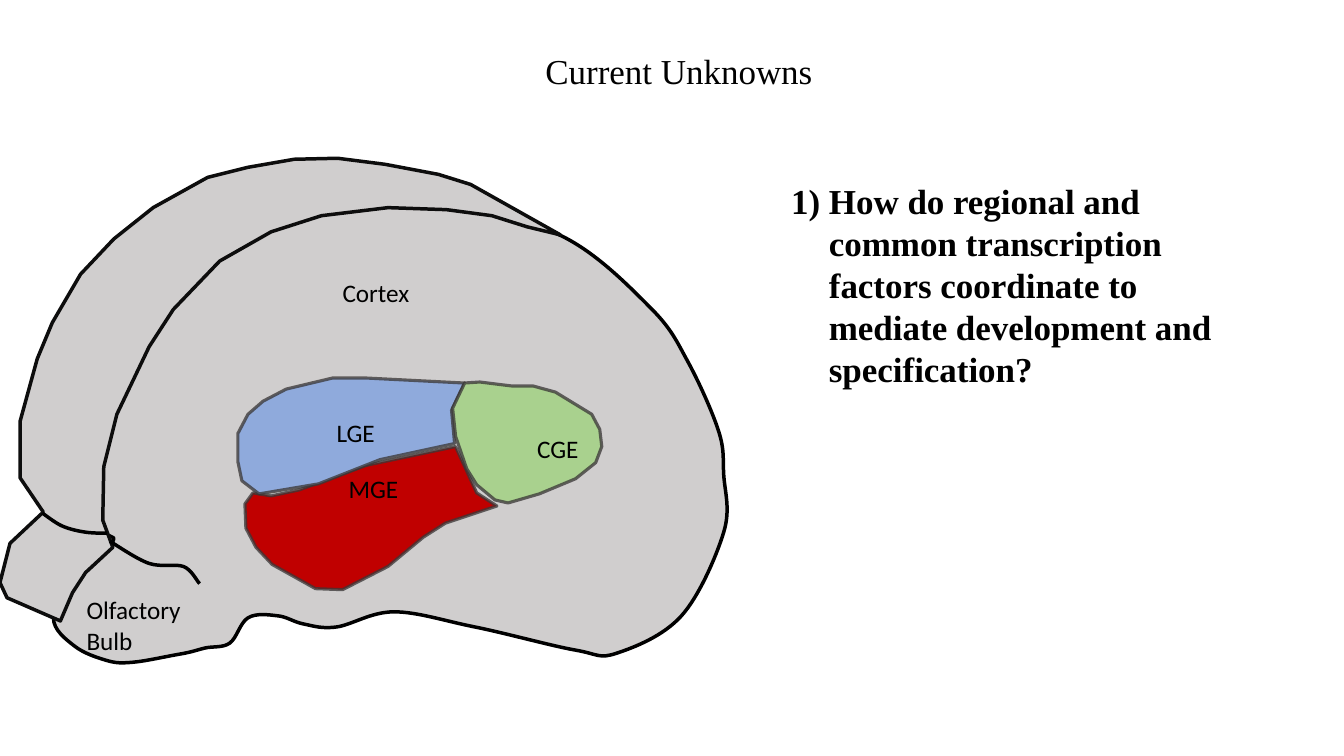
from dataclasses import dataclass

import lxml.etree
import pptx
import pptx.dml.color
import pptx.enum.text
import pptx.oxml.ns
import pptx.shapes.autoshape
import pptx.shapes.shapetree
import pptx.text.text
import pptx.util

Pt = pptx.util.Pt
RGB = pptx.dml.color.RGBColor.from_string
qn = pptx.oxml.ns.qn
Points = list[tuple[float, float]]


@dataclass(frozen=True)
class Theme:
    tissue: str = "D0CECE"
    ink: str = "000000"
    soft_ink: str = "0D0D0D"
    region_edge: str = "3B3838"
    mge: str = "C00000"
    lge: str = "8FAADC"
    cge: str = "A9D18E"
    label_font: str = "Calibri"
    text_font: str = "Times New Roman"
    label_size: float = 18
    text_size: float = 25
    outline_width: float = 2.5
    region_width: float = 2.25
    region_opacity: int = 76


THEME = Theme()
GRID = Pt(0.72)  # size of one unit of the outlines below


@dataclass(frozen=True)
class Anatomy:
    """An outline, closed when it has a fill, and smoothed through its points when curved."""
    outline: Points
    edge: str
    fill: str | None = None
    width: float = THEME.outline_width
    opacity: int = 100
    curved: bool = False


@dataclass(frozen=True)
class Label:
    text: str
    left: float
    top: float
    width: float
    height: float = 28.8


HEMISPHERE = [
    (112, 537), (76, 567), (53, 613), (74, 641), (105, 655), (132, 657), (178, 649),
    (203, 643), (228, 638), (246, 613), (276, 611), (301, 619), (334, 622), (391, 607),
    (471, 622), (571, 645), (612, 648), (676, 611), (718, 528), (718, 471), (713, 428),
    (682, 358), (645, 305), (557, 234), (434, 202), (337, 200), (233, 240), (137, 348),
    (93, 485), (103, 526)]
FAR_HEMISPHERE_AND_BULB = [
    (556, 233), (467, 183), (435, 173), (382, 163), (335, 157), (292, 158), (246, 166),
    (206, 176), (152, 206), (113, 237), (80, 272), (52, 320), (37, 356), (20, 418),
    (20, 474), (43, 508), (10, 539), (0, 578), (7, 593), (60, 616), (72, 588),
    (85, 568), (112, 543), (102, 516), (103, 463), (116, 411), (148, 344), (172, 307),
    (218, 259), (269, 230), (319, 214), (385, 206), (443, 208), (488, 214), (523, 225)]
LOWER_FOLD = [(109, 537), (148, 559), (182, 562), (198, 579)]
BULB_FOLD = [(42, 509), (62, 522), (85, 528), (106, 529)]
MGE = [
    (251, 489), (243, 500), (244, 524), (254, 543), (270, 560), (313, 584), (340, 585),
    (385, 562), (420, 533), (442, 519), (493, 502), (473, 489), (452, 443), (362, 462),
    (297, 486), (269, 492)]
LGE = [
    (461, 380), (363, 375), (330, 375), (284, 386), (261, 398), (246, 411), (236, 430),
    (236, 458), (240, 477), (257, 490), (316, 480), (377, 456), (451, 440), (448, 407)]
CGE = [
    (461, 380), (449, 405), (452, 433), (463, 465), (473, 481), (491, 496), (504, 499),
    (535, 490), (571, 475), (591, 459), (597, 443), (595, 426), (587, 411), (551, 389),
    (529, 383), (508, 383), (476, 379)]

BRAIN = [
    Anatomy(HEMISPHERE, THEME.ink, THEME.tissue, curved=True),
    Anatomy(FAR_HEMISPHERE_AND_BULB, THEME.soft_ink, THEME.tissue),
    Anatomy(LOWER_FOLD, THEME.ink, curved=True),
    Anatomy(BULB_FOLD, THEME.ink, curved=True),
    *(Anatomy(outline, THEME.region_edge, fill, THEME.region_width, THEME.region_opacity)
      for outline, fill in ((MGE, THEME.mge), (LGE, THEME.lge), (CGE, THEME.cge)))]
REGION_LABELS = [
    Label("CGE", 376.56, 306, 64.08),
    Label("LGE", 233.28, 294.48, 64.08),
    Label("MGE", 241.92, 334.8, 64.08),
    Label("Cortex", 237.6, 194.4, 86.4)]
BULB_LABEL = Label("Olfactory Bulb", 54.72, 421.2, 99.36, 51.12)
QUESTION = Label("How do regional and common transcription factors coordinate to "
                 "mediate development and specification?", 558, 124.56, 345.6, 158.4)


def smooth(outline: Points, closed: bool) -> Points:
    """Give the Bézier points of a Catmull-Rom curve through the outline."""
    if closed:
        padded = [outline[-1], *outline, *outline[:2]]
    else:
        padded = [outline[0], *outline, outline[-1]]
    curve = [outline[0]]
    for before, start, end, after in zip(padded, padded[1:], padded[2:], padded[3:]):
        curve += [
            tuple(s + (e - b) / 6 for b, s, e in zip(before, start, end)),
            tuple(e - (a - s) / 6 for s, e, a in zip(start, end, after)),
            end]
    return curve


def curve_segments(shape: pptx.shapes.autoshape.Shape) -> None:
    """Turn each three straight segments into one cubic Bézier."""
    lines = list(shape.element.iter(qn("a:lnTo")))
    for triple in zip(lines[::3], lines[1::3], lines[2::3]):
        curve = lxml.etree.Element(qn("a:cubicBezTo"))
        triple[0].addprevious(curve)
        for line in triple:
            curve.append(line[0])
            line.getparent().remove(line)


def draw_anatomy(shapes: pptx.shapes.shapetree.GroupShapes, part: Anatomy) -> None:
    closed = part.fill is not None
    points = smooth(part.outline, closed) if part.curved else part.outline
    builder = shapes.build_freeform(*points[0], scale=GRID)
    builder.add_line_segments(points[1:], close=closed)
    shape = builder.convert_to_shape()
    shape.shadow.inherit = False
    if part.curved:
        curve_segments(shape)
    if closed:
        shape.fill.solid()
        shape.fill.fore_color.rgb = RGB(part.fill)
    else:
        shape.fill.background()
    shape.line.width = Pt(part.width)
    shape.line.color.rgb = RGB(part.edge)
    if part.opacity < 100:
        color = shape.element.spPr.find(qn("a:ln")).find(".//" + qn("a:srgbClr"))
        lxml.etree.SubElement(color, qn("a:alpha"), val=str(part.opacity * 1000))


def format_font(paragraph: pptx.text.text._Paragraph, name: str, size: float,
                bold: bool = False) -> None:
    for attribute, value in {"name": name, "size": Pt(size), "bold": bold}.items():
        setattr(paragraph.font, attribute, value)
    paragraph.font.color.rgb = RGB(THEME.ink)


def add_label(shapes: pptx.shapes.shapetree.GroupShapes | pptx.shapes.shapetree.SlideShapes,
              label: Label) -> pptx.text.text._Paragraph:
    box = shapes.add_textbox(*map(Pt, (label.left, label.top, label.width, label.height)))
    frame = box.text_frame
    frame.word_wrap = True
    frame.auto_size = pptx.enum.text.MSO_AUTO_SIZE.SHAPE_TO_FIT_TEXT
    frame.text = label.text
    return frame.paragraphs[0]


def number_paragraph(paragraph: pptx.text.text._Paragraph, indent: float) -> None:
    properties = paragraph._p.get_or_add_pPr()
    properties.set("marL", str(Pt(indent)))
    properties.set("indent", str(-Pt(indent)))
    lxml.etree.SubElement(properties, qn("a:buFont"), typeface="+mj-lt")
    lxml.etree.SubElement(properties, qn("a:buAutoNum"), type="arabicParenR")


def place_title(title: pptx.shapes.autoshape.Shape) -> None:
    bounds = {"left": 66.24, "top": 0, "width": 837.36, "height": 104.4}
    for attribute, value in bounds.items():
        setattr(title, attribute, Pt(value))
    title.text_frame.text = "Current Unknowns"
    title.text_frame.vertical_anchor = pptx.enum.text.MSO_ANCHOR.MIDDLE
    paragraph = title.text_frame.paragraphs[0]
    paragraph.alignment = pptx.enum.text.PP_ALIGN.CENTER
    paragraph.line_spacing = 0.9
    format_font(paragraph, THEME.text_font, THEME.text_size)


def main() -> None:
    deck = pptx.Presentation()
    deck.slide_width, deck.slide_height = Pt(960), Pt(540)
    slide = deck.slides.add_slide(deck.slide_layouts[5])
    place_title(slide.shapes.title)

    brain = slide.shapes.add_group_shape().shapes
    for part in BRAIN:
        draw_anatomy(brain, part)
    labels = [add_label(brain, label) for label in REGION_LABELS]
    labels.append(add_label(slide.shapes, BULB_LABEL))
    for paragraph in labels:
        format_font(paragraph, THEME.label_font, THEME.label_size)

    question = add_label(slide.shapes, QUESTION)
    number_paragraph(question, 27)
    format_font(question, THEME.text_font, THEME.text_size, bold=True)
    deck.save("out.pptx")


if __name__ == "__main__":
    main()
